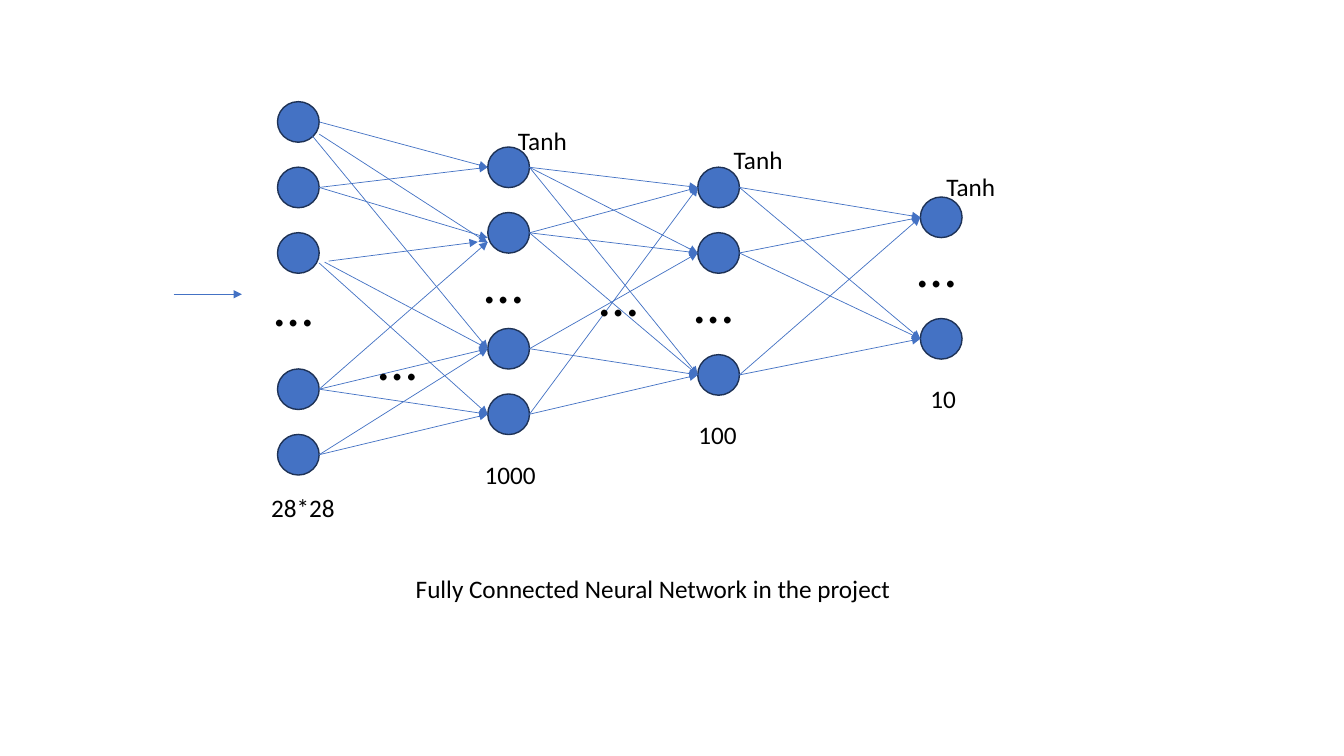
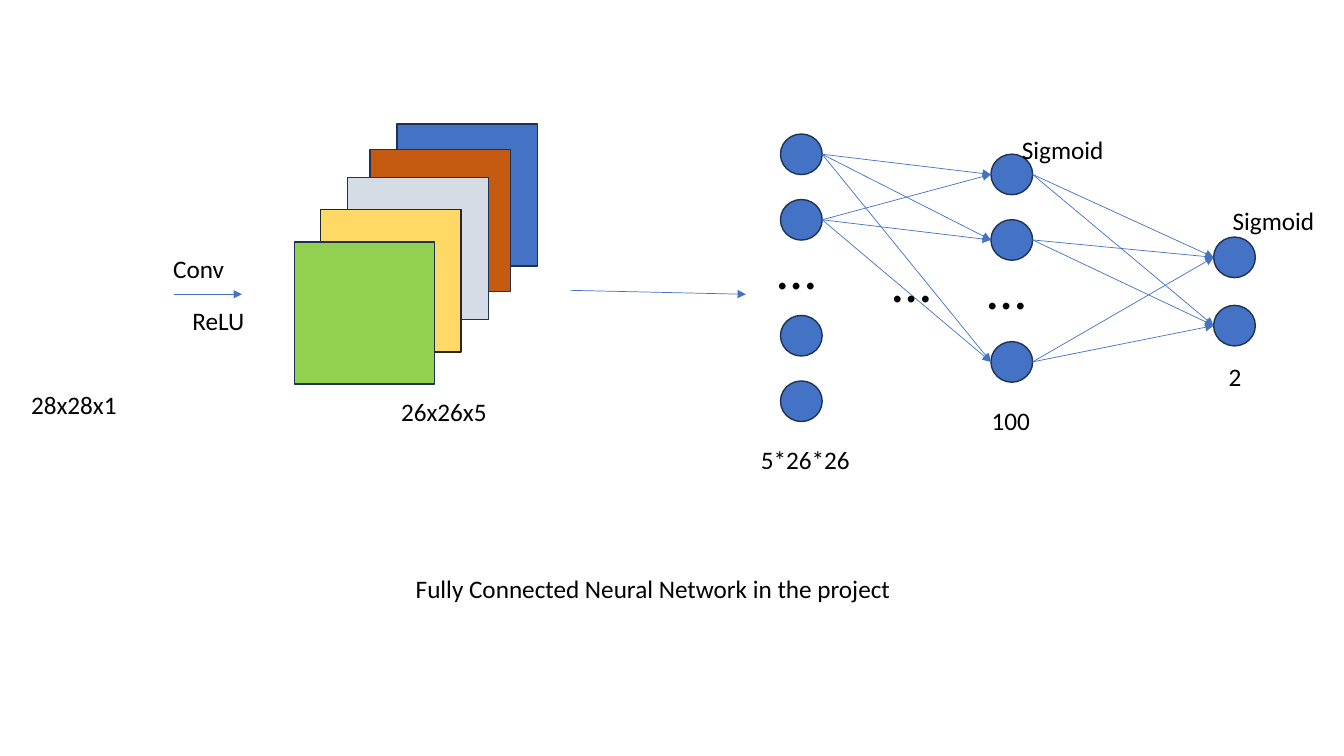
from itertools import product

from pptx import Presentation
from pptx.dml.color import RGBColor
from pptx.enum.shapes import MSO_CONNECTOR as CONNECTOR, MSO_SHAPE as SHAPE
from pptx.enum.text import MSO_AUTO_SIZE as AUTO_SIZE
from pptx.oxml.ns import qn
from pptx.util import Pt
from lxml.etree import SubElement

BLUE, NAVY, BLACK = "4472C4", "1E3256", "000000"
NODE_WIDTH, NODE_HEIGHT = 29.8, 29
LABEL_FONT = {"name": "Calibri", "size": Pt(18)}
DOTS_FONT = {"name": "Calibri", "size": Pt(40)}
FRAME_FORMAT = {"word_wrap": True, "auto_size": AUTO_SIZE.SHAPE_TO_FIT_TEXT}


def apply_format(target, values):
    for name, value in values.items():
        setattr(target, name, value)


def set_color(color_format, value):
    color_format.rgb = RGBColor.from_string(value)


def add_outlined_shape(slide, kind, left, top, width, height, fill, line=NAVY):
    shape = slide.shapes.add_shape(kind, Pt(left), Pt(top), Pt(width), Pt(height))
    shape.shadow.inherit = False
    shape.fill.solid()
    set_color(shape.fill.fore_color, fill)
    set_color(shape.line.color, line)
    shape.line.width = Pt(1)


def add_text(slide, text, left, top, width, height=29, font=LABEL_FONT):
    box = slide.shapes.add_textbox(Pt(left), Pt(top), Pt(width), Pt(height))
    apply_format(box.text_frame, FRAME_FORMAT)
    run = box.text_frame.paragraphs[0].add_run()
    run.text = text
    apply_format(run.font, font)
    set_color(run.font.color, BLACK)


def add_dots(slide, left, top):
    add_text(slide, "…", left, top, 48.2, 55.4, DOTS_FONT)


def add_arrow(slide, x1, y1, x2, y2):
    arrow = slide.shapes.add_connector(
        CONNECTOR.STRAIGHT, Pt(x1), Pt(y1), Pt(x2), Pt(y2))
    set_color(arrow.line.color, BLUE)
    arrow.line.width = Pt(0.5)
    SubElement(arrow.line._get_or_add_ln(), qn("a:tailEnd"), type="triangle")
    SubElement(arrow._element.spPr, qn("a:effectLst"))


def add_layer(slide, left, centers, dots_top=None):
    for center in centers:
        add_outlined_shape(slide, SHAPE.OVAL, left, center - NODE_HEIGHT / 2,
                           NODE_WIDTH, NODE_HEIGHT, BLUE)
    if dots_top is not None:
        add_dots(slide, left - 9.2, dots_top)


def add_links(slide, source, target, pairs):
    for start, end in pairs:
        add_arrow(slide, source[0] + NODE_WIDTH, source[1][start],
                  target[0], target[1][end])


def add_network(slide, layers, links):
    for layer in layers:
        add_layer(slide, *layer)
    for source, target, pairs in zip(layers, layers[1:], links):
        add_links(slide, source, target, pairs)


def add_labels(slide, labels):
    for label in labels:
        add_text(slide, *label)


def add_diagram_slide(presentation):
    slide = presentation.slides.add_slide(presentation.slide_layouts[6])
    add_text(slide, " Fully Connected Neural Network in the project", 285.8, 406, 411)
    add_arrow(slide, 124, 210.2, 172.8, 210.2)
    return slide


def build_dense_slide(presentation):
    slide = add_diagram_slide(presentation)
    layers = [
        (198.2, (87.1, 133.9, 180.7, 278, 324.8), 189.4),
        (348.4, (119.5, 166.3, 249.1, 295.9), 173.5),
        (498.4, (133.9, 180.7, 267.8), 187.9),
        (657.4, (155.2, 242), 162),
    ]
    links = [
        [(0, 0), (1, 0), *product((3, 4), (2, 3))],
        [*product(range(2), range(3)), (2, 1), (2, 2), (3, 0), (3, 2)],
        product(range(3), range(2)),
    ]
    add_network(slide, layers, links)
    for offset_link in [
        (228, 95.8, 348.4, 173.5),
        (223.2, 97.2, 348.4, 249.1),
        (228, 133.9, 348.4, 169.9),
        (228, 187.9, 348.4, 295.9),
        (231.8, 187.2, 348.4, 249.1),
        (234.7, 186.5, 341.3, 172.8),
        (228, 278, 348.4, 172.8),
    ]:
        add_arrow(slide, *offset_link)
    add_dots(slide, 263.5, 228.2)
    add_dots(slide, 421.2, 182.2)
    add_labels(slide, [
        ("28*28", 186.5, 347.8, 72.7),
        ("1000", 339.1, 324.7, 72.7),
        ("100", 491.8, 295.9, 72.7),
        ("10", 657.4, 270, 72.7),
        ("Tanh", 362.9, 85.7, 67.7),
        ("Tanh", 517, 99.4, 67.7),
        ("Tanh", 668.9, 118.8, 67.7),
    ])


def build_convolution_slide(presentation):
    slide = add_diagram_slide(presentation)
    layers = [
        (557.5, (110.2, 157, 239.8, 286.6), 163.4),
        (707.8, (124.6, 171.4, 258.5), 177.8),
        (866.9, (183.8, 232.6)),
    ]
    links = [product(range(2), range(3)), product(range(3), range(2))]
    add_network(slide, layers, links)
    add_dots(slide, 630.7, 172.8)
    add_arrow(slide, 407.5, 207.4, 532.8, 210.2)
    for left, top, fill, line in [
        (283.7, 88.6, BLUE, NAVY),
        (264.2, 106.6, "C55A11", NAVY),
        (248.4, 126.7, "D6DCE5", NAVY),
        (229, 149.8, "FFD966", "262626"),
        (210.2, 172.8, "92D050", NAVY),
    ]:
        add_outlined_shape(slide, SHAPE.RECTANGLE, left, top, 100.4, 101.5, fill, line)
    add_labels(slide, [
        ("28x28x1", 15.1, 274.3, 81.4),
        ("26x26x5", 279.4, 279.4, 81.4),
        ("Conv", 116.6, 177.1, 81.4),
        ("ReLU", 130.3, 214.6, 83.5),
        ("5*26*26", 536.4, 313.9, 106.6),
        ("100", 701.3, 285.8, 72.7),
        ("2", 870.5, 254.2, 36),
        ("Sigmoid", 722.9, 92.2, 83.5),
        ("Sigmoid", 873.4, 143.3, 83.5),
    ])


def main():
    presentation = Presentation()
    apply_format(presentation, {"slide_width": Pt(960), "slide_height": Pt(540)})
    build_dense_slide(presentation)
    build_convolution_slide(presentation)
    presentation.save("out.pptx")


if __name__ == "__main__":
    main()
